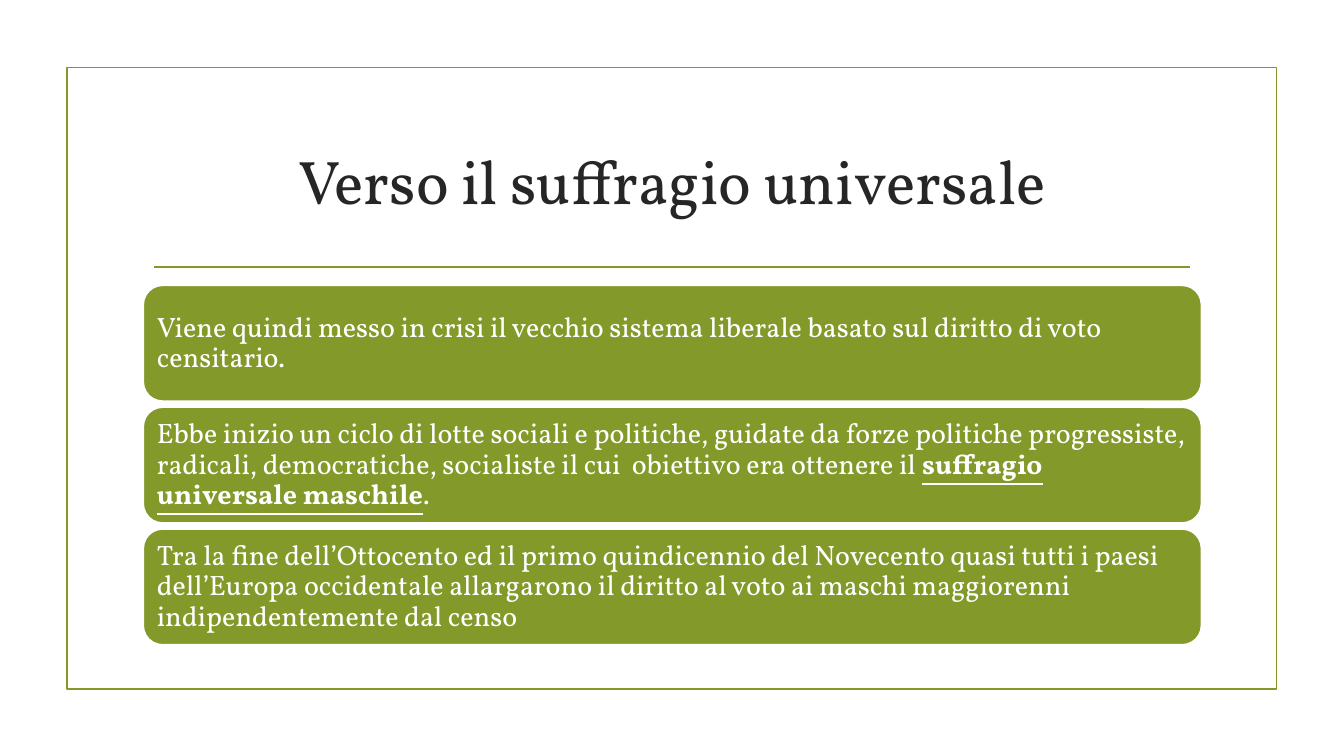
from pptx import Presentation
from pptx.dml.color import RGBColor
from pptx.enum.shapes import MSO_CONNECTOR, MSO_SHAPE
from pptx.enum.text import MSO_ANCHOR, PP_ALIGN
from pptx.oxml.ns import qn
from pptx.util import Cm, Pt
from lxml import etree

RECT, ROUNDED = MSO_SHAPE.RECTANGLE, MSO_SHAPE.ROUNDED_RECTANGLE
STRAIGHT = MSO_CONNECTOR.STRAIGHT
MIDDLE = MSO_ANCHOR.MIDDLE
LEFT, CENTER = PP_ALIGN.LEFT, PP_ALIGN.CENTER

GREEN = RGBColor(0x83, 0x99, 0x2A)
WHITE = RGBColor(0xFF, 0xFF, 0xFF)
DARK = RGBColor(0x26, 0x26, 0x26)
FONT = "Vollkorn"
LINE_WIDTH = Pt(1.25)

# Each card is a list of (text, emphasised) runs
CARDS = [
    [("Viene quindi messo in crisi il vecchio sistema liberale basato sul "
      "diritto di voto censitario.", False)],
    [("Ebbe inizio un ciclo di lotte sociali e politiche, guidate da forze "
      "politiche progressiste, radicali, democratiche, socialiste il cui  "
      "obiettivo era ottenere il ", False),
     ("suffragio universale maschile", True),
     (".", False)],
    [("Tra la fine dell’Ottocento ed il primo quindicennio del Novecento "
      "quasi tutti i paesi dell’Europa occidentale allargarono il diritto al "
      "voto ai maschi maggiorenni indipendentemente dal censo", False)],
]


def set_font(p, size, color):
    p.font.name = FONT
    p.font.size = Pt(size)
    p.font.color.rgb = color


def set_line(sp, color):
    sp.line.color.rgb = color
    sp.line.width = LINE_WIDTH


def add_frame(s, x, y, w, h):
    sp = s.shapes.add_shape(RECT, Cm(x), Cm(y), Cm(w), Cm(h))
    sp.shadow.inherit = False
    sp.fill.background()
    set_line(sp, GREEN)


def add_title(s, x, y, w, h, text):
    tf = s.shapes.add_textbox(Cm(x), Cm(y), Cm(w), Cm(h)).text_frame
    tf.word_wrap = True
    tf.vertical_anchor = MIDDLE
    p = tf.paragraphs[0]
    p.text = text
    p.alignment = CENTER
    set_font(p, 44, DARK)

    # Rule under the title
    inset, rule_y = 0.28, y + h + 0.38
    rule = s.shapes.add_connector(STRAIGHT, Cm(x + inset), Cm(rule_y),
                                  Cm(x + w - inset), Cm(rule_y))
    set_line(rule, GREEN)
    etree.SubElement(rule._element.spPr, qn("a:effectLst"))


def add_card(s, x, y, w, h, runs):
    sp = s.shapes.add_shape(ROUNDED, Cm(x), Cm(y), Cm(w), Cm(h))
    sp.shadow.inherit = False
    sp.fill.solid()
    sp.fill.fore_color.rgb = GREEN
    set_line(sp, WHITE)

    tf = sp.text_frame
    tf.word_wrap = True
    tf.vertical_anchor = MIDDLE
    tf.margin_left = tf.margin_right = Cm(0.2)
    tf.margin_top = tf.margin_bottom = Cm(0.2)
    p = tf.paragraphs[0]
    p.alignment = LEFT
    p.line_spacing = 0.9
    set_font(p, 20, WHITE)
    for text, emphasised in runs:
        r = p.add_run()
        r.text = text
        if emphasised:
            r.font.bold = r.font.underline = True


def add_cards(s, x, y, w, h, cards, gap=0.15):
    card_h = (h - gap * (len(cards) - 1)) / len(cards)
    for i, runs in enumerate(cards):
        add_card(s, x, y + i * (card_h + gap), w, card_h, runs)


prs = Presentation()
prs.slide_width, prs.slide_height = Cm(33.87), Cm(19.05)
s = prs.slides.add_slide(prs.slide_layouts[6])

add_frame(s, 1.69, 1.7, 30.48, 15.67)
add_title(s, 3.61, 2.72, 26.67, 3.63, "Verso il suffragio universale")
add_cards(s, 3.61, 7.19, 26.67, 9.06, CARDS)

prs.save("out.pptx")
